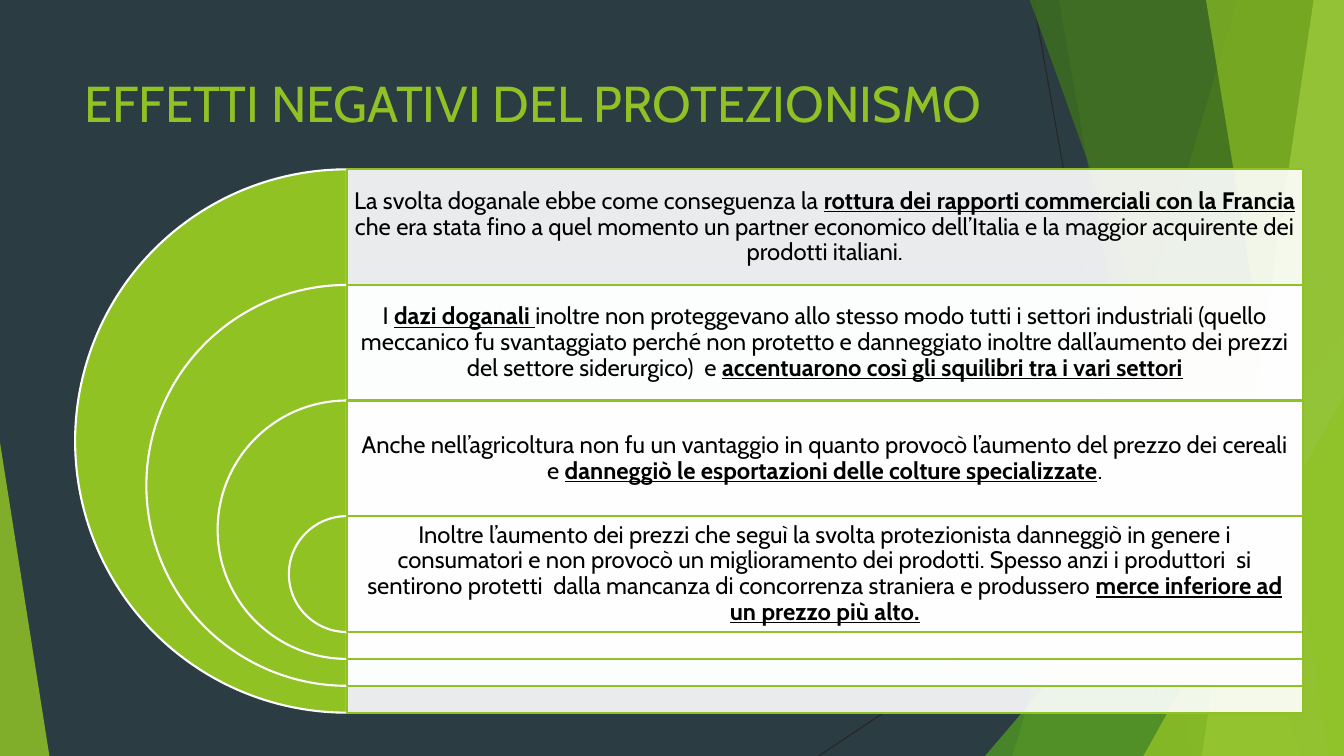
from dataclasses import dataclass

from lxml import etree
from pptx import Presentation
from pptx.dml.color import RGBColor
from pptx.enum.shapes import MSO_CONNECTOR, MSO_SHAPE
from pptx.enum.text import MSO_ANCHOR, PP_ALIGN
from pptx.oxml.ns import qn
from pptx.util import Inches, Pt

STRAIGHT = MSO_CONNECTOR.STRAIGHT
TRIANGLE = MSO_SHAPE.ISOSCELES_TRIANGLE
PIE = MSO_SHAPE.PIE
RECTANGLE = MSO_SHAPE.RECTANGLE
TOP, MIDDLE = MSO_ANCHOR.TOP, MSO_ANCHOR.MIDDLE
LEFT, CENTER = PP_ALIGN.LEFT, PP_ALIGN.CENTER


@dataclass(frozen=True)
class Theme:
    """Colours, font and sizes of the slide."""
    background: str = "2C3C43"
    accent: str = "90C226"
    ring: str = "90C223"
    leaf: str = "54A021"
    forest: str = "3F7818"
    lime: str = "BFE471"
    white: str = "FFFFFF"
    black: str = "000000"
    hairline: str = "262626"
    font: str = "Cabin"
    title_size: int = 36
    body_size: int = 17
    thin: float = 0.75
    outline: float = 1.5


THEME = Theme()
WIDTH, HEIGHT, BLEED = 13.33, 7.5, -0.01

RAYS = [((10.25, 0), (11.58, HEIGHT)), ((WIDTH, 4.03), (8.12, HEIGHT))]
FACETS = [
    ("band", (12.28, 10.04), THEME.accent, 30),
    ("band", (10.5, 11.83), THEME.accent, 20),
    ("triangle", (9.77, 3.33, 3.56, 4.17, 1), THEME.leaf, 72),
    ("band", (10.21, 12.91), THEME.forest, 70),
    ("band", (13.03, 11.92), THEME.lime, 70),
    ("band", (11.96, 13.18), THEME.accent, 65),
    ("triangle", (11.34, 3.93, 1.99, 3.57, 1), THEME.accent, 80),
    ("triangle", (0, 4.39, 0.49, 3.11, 0), THEME.accent, 85),
]

TITLE = "EFFETTI NEGATIVI DEL PROTEZIONISMO"
EFFECTS = [
    [("La svolta doganale ebbe come conseguenza la ", False),
     ("rottura dei rapporti commerciali con la Francia ", True),
     ("che era stata fino a quel momento un partner economico dell’Italia "
      "e la maggior acquirente dei prodotti italiani.", False)],
    [("I ", False),
     ("dazi doganali ", True),
     ("inoltre non proteggevano allo stesso modo tutti i settori industriali "
      "(quello meccanico fu svantaggiato perché non protetto e danneggiato "
      "inoltre dall’aumento dei prezzi del settore siderurgico)  e ", False),
     ("accentuarono così gli squilibri tra i vari settori", True)],
    [("Anche nell’agricoltura non fu un vantaggio in quanto provocò "
      "l’aumento del prezzo dei cereali e ", False),
     ("danneggiò le esportazioni delle colture specializzate", True),
     (".", False)],
    [("Inoltre l’aumento dei prezzi che seguì la svolta protezionista "
      "danneggiò in genere i consumatori e non provocò un miglioramento dei "
      "prodotti. Spesso anzi i produttori  si sentirono protetti  dalla "
      "mancanza di concorrenza straniera e produssero ", False),
     ("merce inferiore ad un prezzo più alto.", True)],
]

RING_CENTER, RINGS_TOP = 3.44, 1.68
LARGEST, SMALLEST = 5.39, 1.15
RING_DROP = 3.44 / (len(EFFECTS) - 1)
RING_SHRINK = (LARGEST - SMALLEST) / (len(EFFECTS) - 1)
PANEL_WIDTH = 9.48


def apply_format(target, values):
    """Set each named attribute on the target."""
    for name, value in values.items():
        setattr(target, name, value)


def paint(shape, color, opacity=100, outline=None):
    """Fill a shape and give it an outline or none."""
    shape.shadow.inherit = False
    shape.fill.solid()
    shape.fill.fore_color.rgb = RGBColor.from_string(color)
    if opacity < 100:
        solid = shape.fill._xPr.find(qn("a:solidFill"))
        etree.SubElement(solid[0], qn("a:alpha")).set("val", str(opacity * 1000))
    if outline:
        shape.line.color.rgb = RGBColor.from_string(outline)
        shape.line.width = Pt(THEME.outline)
    else:
        shape.line.fill.background()


def add_ray(slide, start, end):
    """Draw a thin background line."""
    ray = slide.shapes.add_connector(STRAIGHT, *map(Inches, start + end))
    ray.line.color.rgb = RGBColor.from_string(THEME.hairline)
    ray.line.width = Pt(THEME.thin)
    etree.SubElement(ray._element.spPr, qn("a:effectLst"))


def add_band(slide, top_x, bottom_x):
    """Draw a slanted band that reaches the right edge of the slide."""
    corners = [(WIDTH, BLEED), (WIDTH, HEIGHT), (bottom_x, HEIGHT)]
    builder = slide.shapes.build_freeform(Inches(top_x), Inches(BLEED))
    builder.add_line_segments([(Inches(x), Inches(y)) for x, y in corners])
    return builder.convert_to_shape()


def add_preset(slide, kind, box, adjustments=()):
    """Add a preset shape with its adjustments."""
    shape = slide.shapes.add_shape(kind, *map(Inches, box))
    for index, value in enumerate(adjustments):
        shape.adjustments[index] = value
    return shape


def add_text(slide, box, runs, size, color, margins, anchor, align, spacing):
    """Add a text box with one paragraph of plain and emphasised runs."""
    frame = slide.shapes.add_textbox(*map(Inches, box)).text_frame
    side, edge = map(Inches, margins)
    apply_format(frame, {
        "word_wrap": True, "vertical_anchor": anchor,
        "margin_left": side, "margin_right": side,
        "margin_top": edge, "margin_bottom": edge,
    })
    paragraph = frame.paragraphs[0]
    apply_format(paragraph, {"alignment": align, "line_spacing": spacing})
    for text, emphasised in runs:
        run = paragraph.add_run()
        run.text = text
        apply_format(run.font, {
            "name": THEME.font, "size": Pt(size),
            "bold": emphasised, "underline": emphasised,
        })
        run.font.color.rgb = RGBColor.from_string(color)


def add_backdrop(slide):
    """Draw the background colour, rays and translucent facets."""
    slide.background.fill.solid()
    slide.background.fill.fore_color.rgb = RGBColor.from_string(THEME.background)
    for start, end in RAYS:
        add_ray(slide, start, end)
    for kind, geometry, color, opacity in FACETS:
        if kind == "band":
            facet = add_band(slide, *geometry)
        else:
            facet = add_preset(slide, TRIANGLE, geometry[:4], geometry[4:])
        paint(facet, color, opacity)


def add_effect(slide, index, runs):
    """Add one half ring with its panel and text."""
    diameter = LARGEST - index * RING_SHRINK
    top = RINGS_TOP + index * RING_DROP
    ring_box = (RING_CENTER - diameter / 2, top, diameter, diameter)
    ring = add_preset(slide, PIE, ring_box, (54, 162))
    paint(ring, THEME.ring, outline=THEME.white)
    panel = add_preset(slide, RECTANGLE, (RING_CENTER, top, PANEL_WIDTH, diameter))
    paint(panel, THEME.white, 90, THEME.ring)
    add_text(slide, (RING_CENTER, top, PANEL_WIDTH, SMALLEST), runs,
             THEME.body_size, THEME.black, (0.07, 0.07), MIDDLE, CENTER, 0.9)


def main():
    """Build and save the slide."""
    presentation = Presentation()
    presentation.slide_width = Inches(WIDTH)
    presentation.slide_height = Inches(HEIGHT)
    slide = presentation.slides.add_slide(presentation.slide_layouts[6])
    add_backdrop(slide)
    add_text(slide, (0.74, 0.67, 9.4, 1.44), [(TITLE, False)],
             THEME.title_size, THEME.accent, (0.1, 0.05), TOP, LEFT, 1.0)
    for index, runs in enumerate(EFFECTS):
        add_effect(slide, index, runs)
    presentation.save("out.pptx")


if __name__ == "__main__":
    main()
